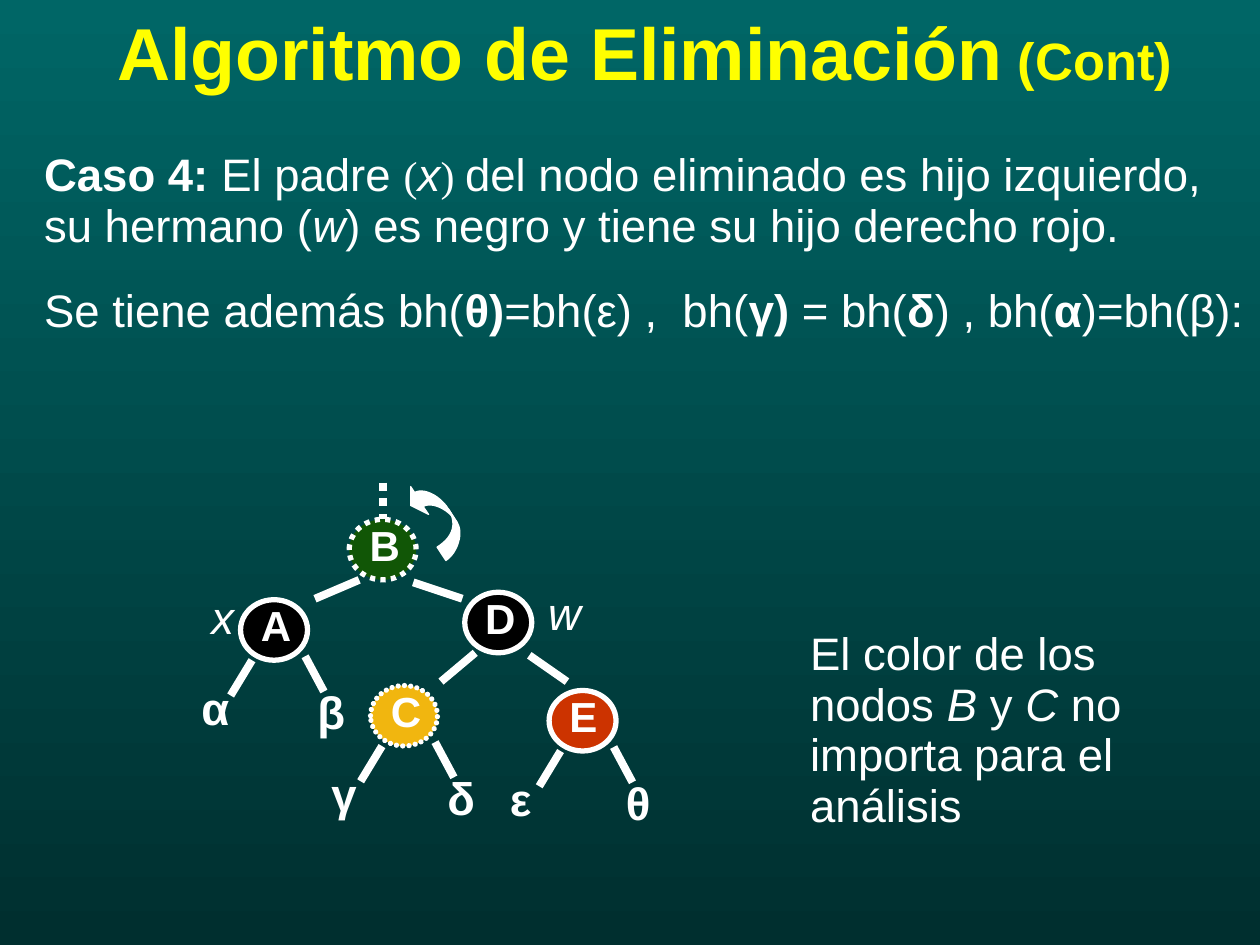
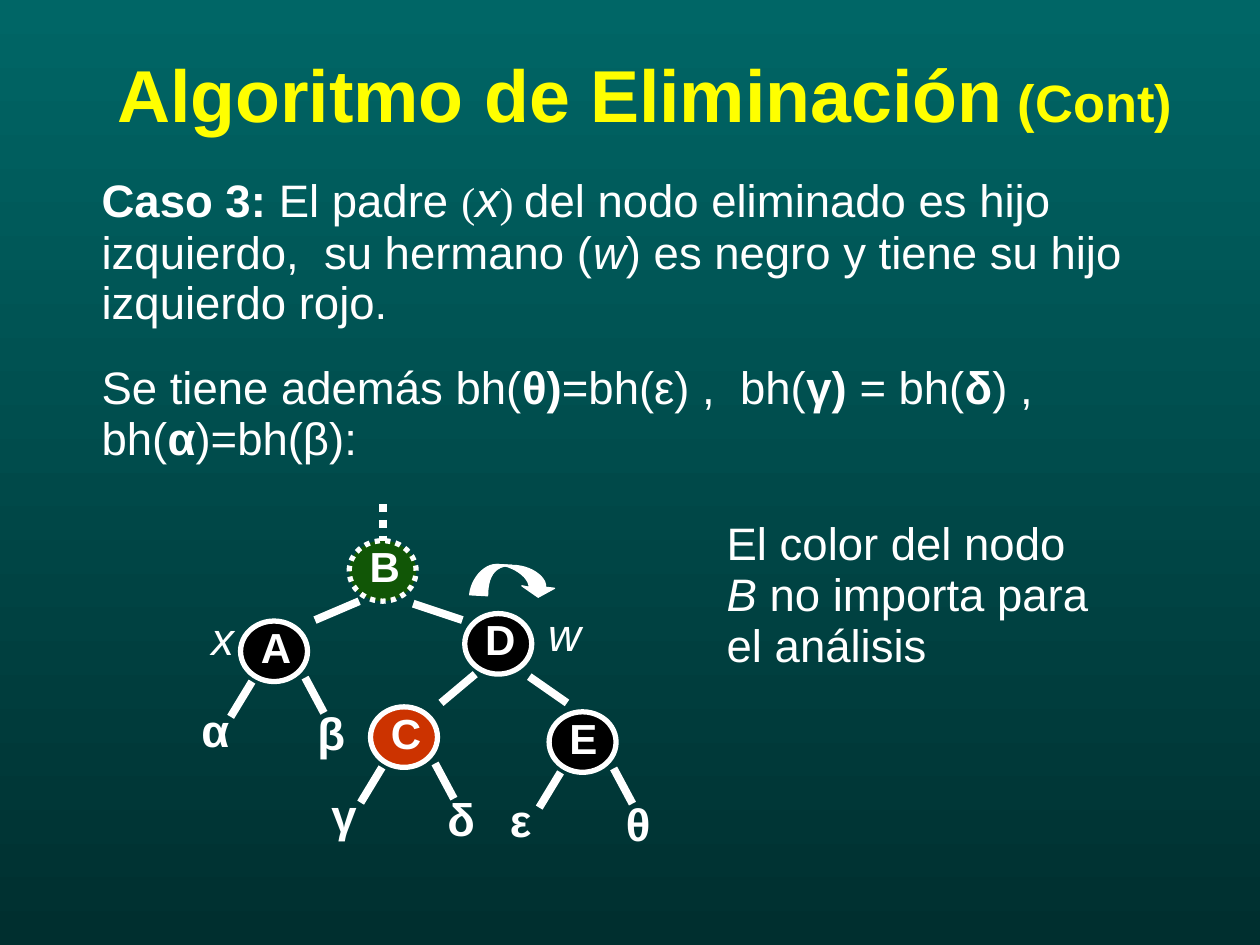
from lxml import etree
from pptx import Presentation
from pptx.dml.color import RGBColor
from pptx.enum.dml import MSO_LINE
from pptx.enum.shapes import MSO_CONNECTOR, MSO_SHAPE
from pptx.enum.text import MSO_ANCHOR
from pptx.oxml.ns import qn
from pptx.util import Cm, Pt

WHITE, YELLOW, BLACK = "FFFFFF", "FFFF00", "000000"
GREEN, RED, AMBER = "115606", "CC3300", "F1B60F"
BACK_TOP, BACK_BOTTOM = "006666", "002F2F"

# Tree layout in cm, measured from the top of the root line
NODE_W, NODE_H = 1.35, 1.22
NODES = {"B": (7.04, 0.74), "A": (4.85, 2.36), "D": (9.37, 2.21),
         "C": (7.47, 4.09), "E": (11.07, 4.19)}
BRANCHES = [((7.24, 1.96), (6.35, 2.34)), ((8.33, 2.01), (9.32, 2.34)),
            ((9.58, 3.43), (8.89, 4.01)), ((10.67, 3.48), (11.43, 4.01))]
LEAVES = {"A": "αβ", "C": "γδ", "E": "εθ"}
# Start of the leaf line, its end, and the label corner, from the node corner
LEAF_SIDES = [((0.23, 1.22), (-0.2, 1.93), (-1.04, 1.5)),
              ((1.3, 1.14), (1.68, 1.85), (1.3, 1.57))]
NAMES = {"x": (4.01, 2.11), "w": (10.8, 2.03)}

# Rotation arrows: two numbers are a corner, six numbers a cubic curve
LEFT_ROTATION = [
    [(8.99, 1.57), (9.22, 1.42, 9.35, 1.02, 9.22, 0.81), (9.04, 0.53),
     (9.25, 0.89, 9.07, 1.14, 8.81, 1.3)],
    [(9.04, 0.53), (8.86, 0.25, 8.53, 0.1, 8.36, 0.2), (8.28, 0.08),
     (8.28, 0.46), (8.64, 0.64), (8.53, 0.48),
     (8.71, 0.38, 9.04, 0.53, 9.22, 0.81)]]
RIGHT_ROTATION = [
    [(9.47, 1.83), (9.5, 1.52, 9.75, 1.22, 10.01, 1.22), (10.34, 1.24),
     (9.93, 1.22, 9.83, 1.52, 9.83, 1.85)],
    [(10.34, 1.24), (10.69, 1.24, 11.02, 1.47, 11, 1.68), (11.18, 1.7),
     (10.85, 1.88), (10.52, 1.65), (10.67, 1.68),
     (10.67, 1.47, 10.34, 1.24, 10.01, 1.22)]]


def color(value):
    return RGBColor.from_string(value)


def outline_points(steps, curve_parts=12):
    """Turn corners and cubic curves into a list of points."""
    points = [steps[0]]
    for step in steps[1:]:
        if len(step) == 2:
            points.append(step)
            continue
        controls = [points[-1], step[:2], step[2:4], step[4:]]
        for part in range(1, curve_parts + 1):
            t = part / curve_parts
            weights = ((1 - t) ** 3, 3 * t * (1 - t) ** 2,
                       3 * t ** 2 * (1 - t), t ** 3)
            points.append(tuple(
                sum(weight * point[axis]
                    for weight, point in zip(weights, controls))
                for axis in (0, 1)))
    return points


class Board:
    def __init__(self):
        self.deck = Presentation()
        self.deck.slide_width, self.deck.slide_height = Cm(25.4), Cm(19.05)
        self.page = None

    def new_page(self):
        self.page = self.deck.slides.add_slide(self.deck.slide_layouts[6])
        fill = self.page.background.fill
        fill.gradient()
        fill.gradient_angle = 270
        for stop, position, tone in zip(fill.gradient_stops, (0, 1),
                                        (BACK_TOP, BACK_BOTTOM)):
            stop.position = position
            stop.color.rgb = color(tone)

    def text(self, left, top, width, height, paragraphs, size=26,
             tone=WHITE, spacing=0.93, anchor=MSO_ANCHOR.TOP):
        """Each span is (text, style, size, font); all but the text optional."""
        box = self.page.shapes.add_textbox(Cm(left), Cm(top),
                                           Cm(width), Cm(height))
        frame = box.text_frame
        frame.word_wrap = True
        frame.vertical_anchor = anchor
        for index, spans in enumerate(paragraphs):
            para = frame.add_paragraph() if index else frame.paragraphs[0]
            para.line_spacing = spacing
            para.space_before = Pt(19.5 if index else 0)
            for words, *options in spans:
                style, points, face = (options + ["", size, "Arial"][len(options):])
                span = para.add_run()
                span.text = words
                span.font.size, span.font.name = Pt(points), face
                span.font.bold, span.font.italic = "b" in style, "i" in style
                span.font.color.rgb = color(tone)

    def title(self, top):
        self.text(2.11, top, 22.86, 3.18,
                  [[("Algoritmo de Eliminación", "b"), (" (Cont)", "b", 30)]],
                  size=42, tone=YELLOW, spacing=0.85,
                  anchor=MSO_ANCHOR.MIDDLE)

    def paint(self, shape, fill, line_width):
        shape.shadow.inherit = False
        shape.fill.solid()
        shape.fill.fore_color.rgb = color(fill)
        shape.line.color.rgb = color(WHITE)
        shape.line.width = Pt(line_width)

    def node(self, name, left, top, fill, border):
        oval = self.page.shapes.add_shape(MSO_SHAPE.OVAL, Cm(left), Cm(top),
                                          Cm(NODE_W), Cm(NODE_H))
        self.paint(oval, fill, 3)
        if border == "dotted":
            oval.line.dash_style = MSO_LINE.ROUND_DOT
        elif border == "beaded":
            line = oval.line._get_or_add_ln()
            line.set("cap", "rnd")
            dashes = etree.SubElement(line, qn("a:custDash"))
            etree.SubElement(dashes, qn("a:ds"), d="100000", sp="20000")
        self.text(left + 0.16, top - 0.03, 1.22, 1.19, [[(name, "b")]], size=24)
        return oval

    def line(self, start, end):
        link = self.page.shapes.add_connector(
            MSO_CONNECTOR.STRAIGHT, *(Cm(value) for value in (*start, *end)))
        link.line.color.rgb = color(WHITE)
        link.line.width = Pt(4.5)
        etree.SubElement(link._element.spPr, qn("a:effectLst"))
        return link

    def outline(self, steps, top):
        points = [(Cm(x), Cm(top + y)) for x, y in outline_points(steps)]
        builder = self.page.shapes.build_freeform(*points[0])
        builder.add_line_segments(points[1:], close=True)
        self.paint(builder.convert_to_shape(), WHITE, 0.75)

    def tree(self, top, fills, borders, rotation):
        # Nodes
        ovals = {name: self.node(name, x, top + y, fills[name],
                                 borders.get(name))
                 for name, (x, y) in NODES.items()}
        # Line to the rest of the tree
        middle = NODES["B"][0] + NODE_W / 2
        root = self.line((middle, top), (middle, top + NODES["B"][1]))
        root.end_connect(ovals["B"], 0)
        root.line.dash_style = MSO_LINE.ROUND_DOT
        # Branches between nodes
        for (x1, y1), (x2, y2) in BRANCHES:
            self.line((x1, top + y1), (x2, top + y2))
        # Subtrees
        for name, letters in LEAVES.items():
            x, y = NODES[name][0], top + NODES[name][1]
            for letter, (start, end, corner) in zip(letters, LEAF_SIDES):
                self.line((x + start[0], y + start[1]),
                          (x + end[0], y + end[1]))
                self.text(x + corner[0], y + corner[1], 1.07, 1.37,
                          [[(letter, "b")]], spacing=1.0)
        # Node names and rotation arrow
        for name, (x, y) in NAMES.items():
            self.text(x, top + y, 1.4, 1.3, [[(name, "i")]])
        for steps in rotation:
            self.outline(steps, top)


def case_text(case, x_size, sibling, child):
    serif = ("", 24, "Times New Roman")
    return [
        [(case, "b"), (" El padre ",), ("(", *serif), ("x", "i", x_size),
         (") ", *serif), (f"del nodo eliminado es hijo izquierdo,{sibling}su hermano (",),
         ("w", "i"), (f") es negro y tiene su hijo {child} rojo.",)],
        [("Se tiene además bh(",), ("θ)", "b"), ("=bh(ε) ,  bh(",),
         ("γ)", "b"), (" = bh(",), ("δ", "b"), (") , bh(",), ("α", "b"),
         (")=bh(β):",)]]


def main():
    board = Board()
    fills = {"A": BLACK, "B": GREEN, "D": BLACK}

    # Case 4
    board.new_page()
    board.title(-0.43)
    board.text(0.64, 2.92, 24.76, 4.01,
               case_text("Caso 4:", 26, " ", "derecho"))
    board.tree(9.73, {**fills, "C": AMBER, "E": RED},
               {"B": "dotted", "C": "beaded"}, LEFT_ROTATION)
    board.text(16.08, 12.57, 7.42, 4.34,
               [[("El color de los nodos ",), ("B", "i"), (" y ",), ("C", "i"),
                 (" no importa para el análisis",)]])

    # Case 3
    board.new_page()
    board.title(0.43)
    board.text(1.8, 3.38, 22.96, 6.15,
               case_text("Caso 3:", 28, "  ", "izquierdo"))
    board.text(14.4, 10.36, 8.05, 3.33,
               [[("El color del nodo ",), ("B", "i"),
                 (" no importa para el análisis",)]])
    board.tree(10.16, {**fills, "C": RED, "E": BLACK},
               {"B": "dotted"}, RIGHT_ROTATION)

    board.deck.save("out.pptx")


if __name__ == "__main__":
    main()
